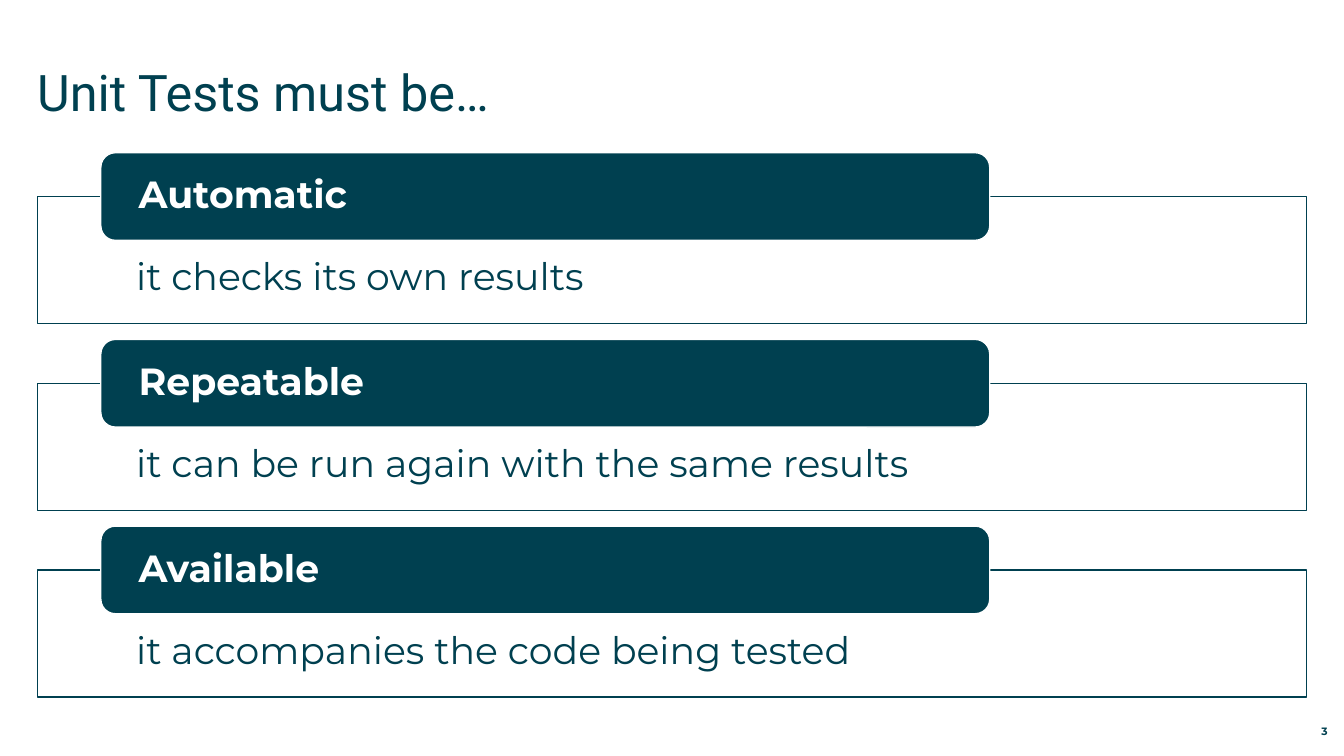
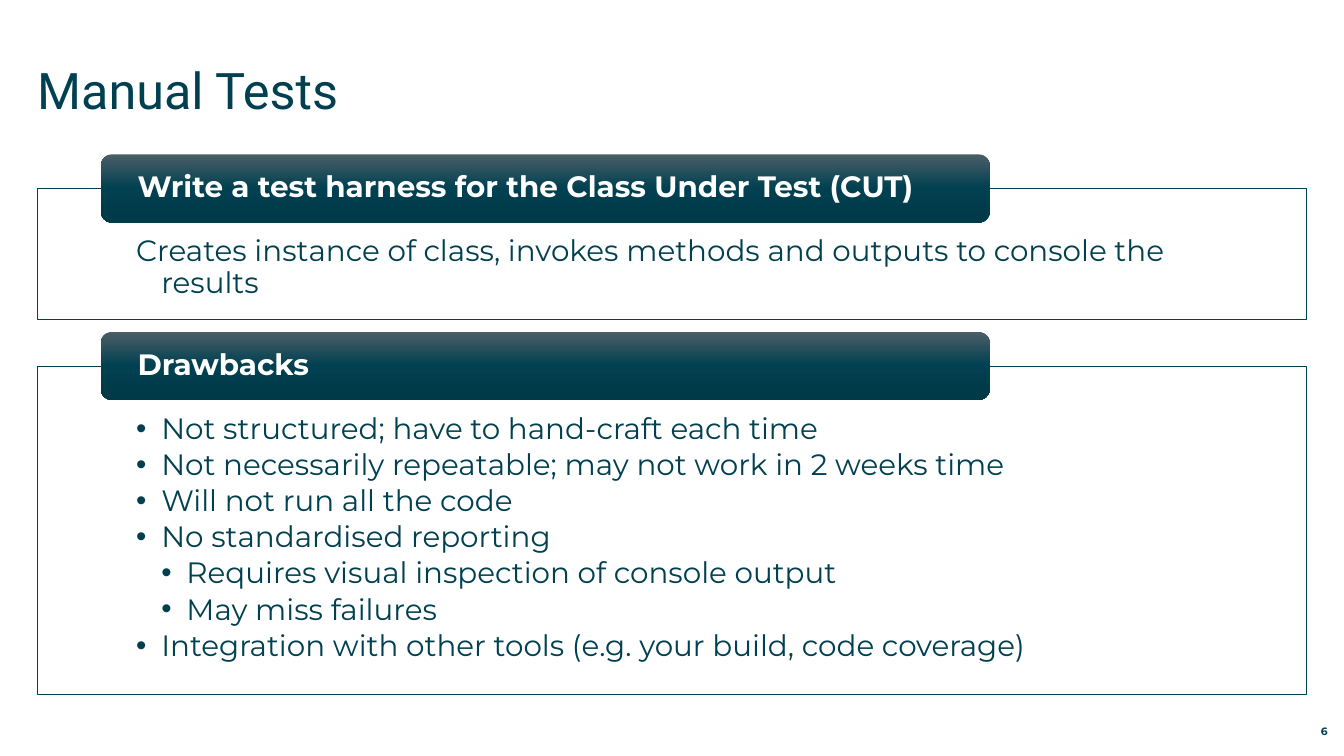
from copy import deepcopy
from dataclasses import dataclass

from lxml.etree import SubElement
from pptx import Presentation
from pptx.dml.color import RGBColor
from pptx.enum.shapes import MSO_SHAPE
from pptx.enum.text import MSO_ANCHOR, MSO_AUTO_SIZE, PP_ALIGN
from pptx.oxml.ns import qn
from pptx.util import Pt

DECK = [
    {
        "title": "Unit Tests must be…", "top": 43.9, "page": "3",
        "layout": 4, "size": 27, "start": 140.4, "line": 1, "shade": False,
        "cards": [
            ("Automatic", 90.7, False, [(0, "it checks its own results")]),
            ("Repeatable", 90.7, False,
             [(0, "it can be run again with the same results")]),
            ("Available", 90.7, False,
             [(0, "it accompanies the code being tested")]),
        ],
    },
    {
        "title": "Manual Tests", "top": 42.2, "page": "6",
        "layout": 3, "size": 21, "start": 134.6, "line": 0.5, "shade": True,
        "cards": [
            ("Write a test harness for the Class Under Test (CUT)", 93.6, False,
             [(0, "Creates instance of class, invokes methods and outputs "
                  "to console the results")]),
            ("Drawbacks", 234.7, True, [
                (0, "Not structured; have to hand-craft each time"),
                (0, "Not necessarily repeatable; may not work in 2 weeks time"),
                (0, "Will not run all the code"),
                (0, "No standardised reporting"),
                (1, "Requires visual inspection of console output"),
                (1, "May miss failures"),
                (0, "Integration with other tools (e.g. your build, code coverage)"),
            ]),
        ],
    },
]


@dataclass(frozen=True)
class Theme:
    ink: str = "004050"
    paper: str = "FFFFFF"
    shades: tuple = ("4B5E68", "004050", "003947")
    head: str = "Roboto"
    text: str = "Montserrat"
    title: float = 36
    page: float = 7.6


THEME = Theme()
LEFT, WIDTH = 26.6, 906.6
PILL_X, PILL_W = 72, 635
PILL, GAP, PAD, FOOT = 2.32, 1.58, 1.63, 0.56
STEP = 18


def rgb(code):
    return RGBColor.from_string(code)


def place(shape, x, y, w, h):
    shape.left, shape.top, shape.width, shape.height = map(Pt, (x, y, w, h))


def setup(shape, anchor, left=0, top=0, right=0, bottom=0):
    frame = shape.text_frame
    frame.word_wrap = True
    frame.auto_size = MSO_AUTO_SIZE.NONE
    frame.vertical_anchor = anchor
    frame.margin_left, frame.margin_top = Pt(left), Pt(top)
    frame.margin_right, frame.margin_bottom = Pt(right), Pt(bottom)
    return frame


def write(para, text, size, color=THEME.ink, font=THEME.text, bold=False,
          align=PP_ALIGN.LEFT):
    para.alignment = align
    run = para.add_run()
    run.text = text
    run.font.name, run.font.size, run.font.bold = font, Pt(size), bold
    run.font.color.rgb = rgb(color)


def space(para, after):
    para.line_spacing = 0.9
    para.space_before, para.space_after = Pt(0), Pt(after)


def fill_solid(shape, color, alpha=None):
    shape.fill.solid()
    shape.fill.fore_color.rgb = rgb(color)
    if alpha:
        tone = shape.fill._xPr.find(qn("a:solidFill"))[0]
        SubElement(tone, qn("a:alpha"), val=str(alpha * 1000))


def fill_shade(shape):
    shape.fill.gradient()
    shape.fill.gradient_angle = 270
    stops = shape.fill._xPr.find(qn("a:gradFill")).find(qn("a:gsLst"))
    stops.insert(1, deepcopy(stops[0]))
    for rank, (stop, color) in enumerate(
            zip(shape.fill.gradient_stops, THEME.shades)):
        stop.position = rank / 2
        stop.color.rgb = rgb(color)


def add_body(shape, y, high, size, line, dots, items):
    place(shape, LEFT, y, WIDTH, high)
    fill_solid(shape, THEME.paper, 90)
    shape.line.color.rgb = rgb(THEME.ink)
    shape.line.width = Pt(line)
    frame = setup(shape, MSO_ANCHOR.TOP, 70.6, size * PAD, 70.6, size * FOOT)
    for rank, (level, text) in enumerate(items):
        para = frame.add_paragraph() if rank else frame.paragraphs[0]
        para.level = level
        space(para, size * 0.15)
        props = para._p.get_or_add_pPr()
        props.set("marL", str(Pt(STEP * (level + 1))))
        props.set("indent", str(Pt(-STEP)))
        if dots:
            SubElement(props, qn("a:buChar"), char="•")
        else:
            SubElement(props, qn("a:buNone"))
        write(para, text, size)


def add_pill(slide, y, size, shade, text):
    high = size * PILL
    pill = slide.shapes.add_shape(
        MSO_SHAPE.ROUNDED_RECTANGLE,
        Pt(PILL_X), Pt(y - high / 2), Pt(PILL_W), Pt(high))
    pill.shadow.inherit = False
    if shade:
        fill_shade(pill)
        pill.line.fill.background()
    else:
        fill_solid(pill, THEME.ink)
        pill.line.color.rgb = rgb(THEME.paper)
        pill.line.width = Pt(1)
    para = setup(pill, MSO_ANCHOR.MIDDLE, 24, 0, 24).paragraphs[0]
    space(para, 0)
    write(para, text, size, THEME.paper, bold=True)


def add_slide(deck, page):
    slide = deck.slides.add_slide(deck.slide_layouts[page["layout"]])
    title = slide.shapes.title
    place(title, LEFT, page["top"], 907, 63.4)
    para = setup(title, MSO_ANCHOR.TOP).paragraphs[0]
    write(para, page["title"], THEME.title, font=THEME.head)

    num = slide.shapes.add_textbox(Pt(886.3), Pt(512.6), Pt(62), Pt(14.4))
    para = setup(num, MSO_ANCHOR.BOTTOM).paragraphs[0]
    write(para, page["page"], THEME.page, bold=True, align=PP_ALIGN.RIGHT)

    bodies = [s for s in slide.placeholders if s.placeholder_format.idx]
    cards, size, y = page["cards"], page["size"], page["start"]
    for body, (head, high, dots, items) in zip(bodies, cards):
        add_body(body, y, high, size, page["line"], dots, items)
        add_pill(slide, y, size, page["shade"], head)
        y += high + size * GAP
    for spare in bodies[len(cards):]:
        spare._element.getparent().remove(spare._element)


def main():
    deck = Presentation()
    deck.slide_width, deck.slide_height = Pt(960), Pt(540)
    for page in DECK:
        add_slide(deck, page)
    deck.save("out.pptx")


if __name__ == "__main__":
    main()
